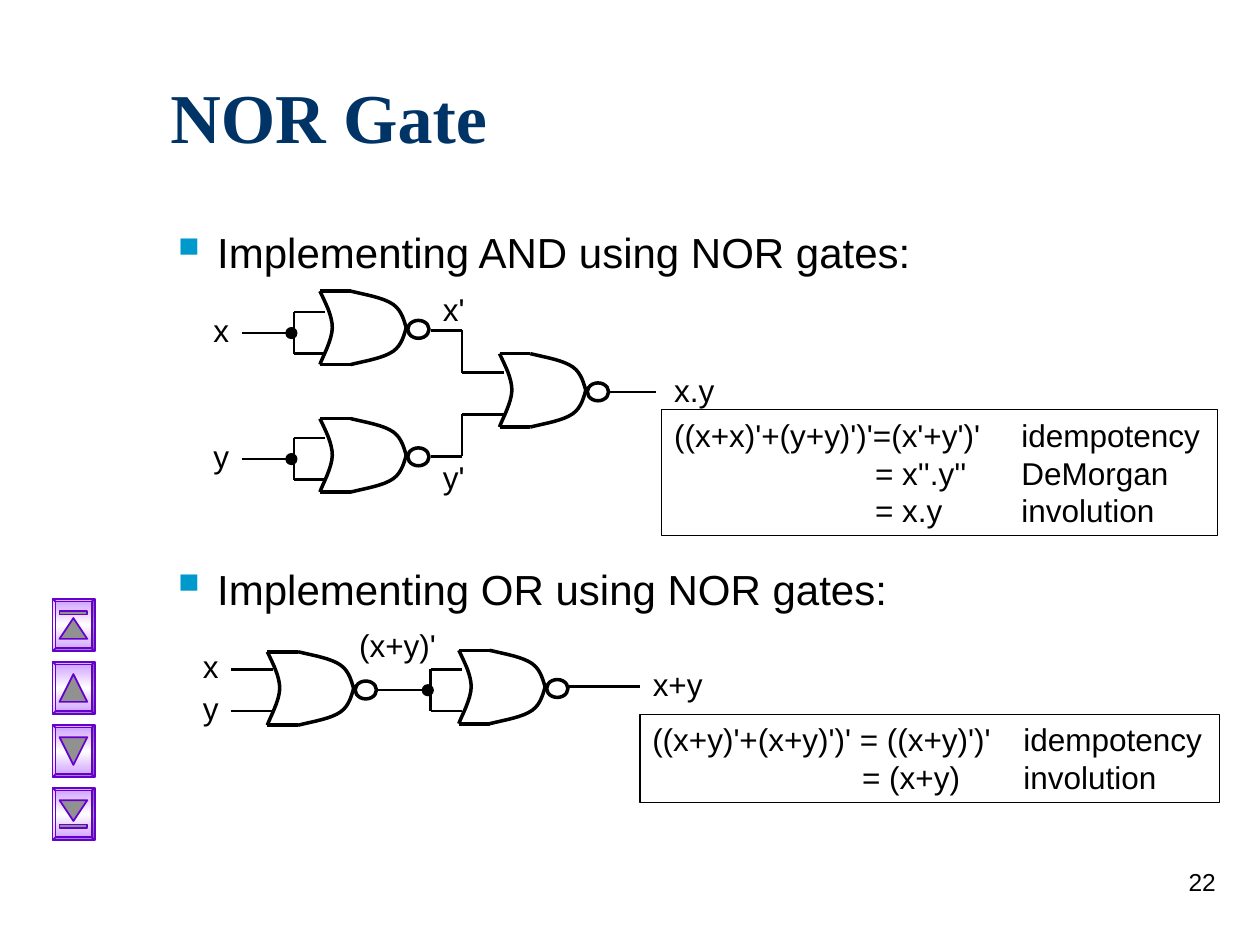
from copy import deepcopy

from lxml.etree import SubElement
from pptx import Presentation
from pptx.dml.color import RGBColor
from pptx.enum.shapes import MSO_CONNECTOR as Link, MSO_SHAPE as Shape
from pptx.enum.text import MSO_ANCHOR as Anchor, PP_ALIGN as Align
from pptx.oxml.ns import qn
from pptx.util import Cm, Pt

BLACK, NAVY, CYAN = "000000", "003366", "0099CC"
PURPLE, LILAC, WHITE, GREY = "6600CC", "CC99FF", "FFFFFF", "919191"
BACK = [(0, 0), (0.12, 0.25), (0.25, 0.5), (0.25, 0.74), (0.25, 0.98), (0.04, 1.36), (0, 1.48)]
NOSE = [(0.62, 0), (0.95, 0.08), (1.28, 0.13), (1.48, 0.27), (1.66, 0.4), (1.7, 0.61), (1.76, 0.81)]
GATE_HEIGHT = 1.48
HALF_TIE = 0.42


def color(value):
    return RGBColor.from_string(value)


def sample(points, steps=8):
    curve = [points[0]]
    for first in range(0, len(points) - 1, 3):
        a, b, c, d = points[first:first + 4]
        for step in range(1, steps + 1):
            t = step / steps
            u = 1 - t
            weights = u**3, 3 * u * u * t, 3 * u * t * t, t**3
            curve.append(tuple(sum(w * p[axis] for w, p in zip(weights, (a, b, c, d)))
                               for axis in (0, 1)))
    return curve


class Painter:
    """Draws styled text, wires, gates and buttons on one slide."""

    def __init__(self, page):
        self.page = page
        self.shapes = page.shapes

    def style(self, paragraph, size, ink=BLACK, font="Arial", bold=False):
        for span in paragraph.runs:
            span.font.name = font
            span.font.size = Pt(size)
            span.font.bold = bold
            span.font.color.rgb = color(ink)

    def title(self, text, left, top, width, height):
        box = self.shapes.title
        box.left, box.top, box.width, box.height = map(Cm, (left, top, width, height))
        box.text_frame.text = text
        box.text_frame.vertical_anchor = Anchor.MIDDLE
        paragraph = box.text_frame.paragraphs[0]
        paragraph.alignment = Align.LEFT
        self.style(paragraph, 40, NAVY, "Times New Roman", True)

    def text(self, text, left, top, width, height=1.02, size=18, align=Align.LEFT):
        box = self.shapes.add_textbox(*map(Cm, (left, top, width, height)))
        box.text_frame.word_wrap = True
        box.text_frame.text = text
        for paragraph in box.text_frame.paragraphs:
            paragraph.alignment = align
            self.style(paragraph, size)
        return box

    def bullet(self, text, top):
        box = self.text(text, 3.18, top, 21.59, 1.57, 24)
        props = box.text_frame.paragraphs[0]._p.get_or_add_pPr()
        props.set("marL", str(Cm(0.95)))
        props.set("indent", str(-Cm(0.95)))
        SubElement(SubElement(props, qn("a:buClr")), qn("a:srgbClr"), val=CYAN)
        SubElement(props, qn("a:buSzPct"), val="120000")
        SubElement(props, qn("a:buChar"), char="▪")

    def proof(self, lines, left, top, width, height, stops):
        box = self.text("\n".join(lines), left, top, width, height)
        box.line.color.rgb = color(BLACK)
        box.line.width = Pt(0.75)
        for paragraph in box.text_frame.paragraphs:
            tabs = SubElement(paragraph._p.get_or_add_pPr(), qn("a:tabLst"))
            for stop in stops:
                SubElement(tabs, qn("a:tab"), pos=str(Cm(stop)), algn="l")

    def wire(self, x1, y1, x2, y2, weight=1.5):
        line = self.shapes.add_connector(Link.STRAIGHT, *map(Cm, (x1, y1, x2, y2)))
        line.line.color.rgb = color(BLACK)
        line.line.width = Pt(weight)
        SubElement(line._element.spPr, qn("a:effectLst"))

    def outline(self, shape, fill=None, ink=BLACK, weight=2):
        shape.shadow.inherit = False
        if fill:
            shape.fill.solid()
            shape.fill.fore_color.rgb = color(fill)
        else:
            shape.fill.background()
        shape.line.color.rgb = color(ink)
        shape.line.width = Pt(weight)

    def preset(self, kind, left, top, width, height, **look):
        shape = self.shapes.add_shape(kind, *map(Cm, (left, top, width, height)))
        self.outline(shape, **look)
        return shape

    def curve(self, points, left, top):
        points = [(Cm(left + x), Cm(top + y)) for x, y in sample(points)]
        builder = self.shapes.build_freeform(*points[0])
        builder.add_line_segments(points[1:], close=False)
        self.outline(builder.convert_to_shape())

    def gate(self, left, top):
        mirrored = [(x, GATE_HEIGHT - y) for x, y in NOSE]
        for points in (BACK, NOSE, mirrored):
            self.curve(points, left, top)
        for y in (top, top + GATE_HEIGHT):
            self.wire(left, y, left + 0.62, y, 2)
        self.preset(Shape.OVAL, left + 1.77, top + 0.59, 0.43, 0.36)

    def tied_inputs(self, start, tie, middle):
        upper, lower = middle - HALF_TIE, middle + HALF_TIE
        self.wire(start, middle, tie, middle)
        self.wire(tie, upper, tie, lower)
        for y in (upper, lower):
            self.wire(tie, y, tie + 0.63, y)
        self.preset(Shape.OVAL, tie - 0.16, middle - 0.1, 0.21, 0.21, fill=BLACK, weight=1)

    def button(self, top, down, bar):
        left = 1.06
        frame = self.preset(Shape.BEVEL, left, top, 0.85, 1.06, ink=PURPLE, weight=1)
        frame.adjustments[0] = 0.07
        frame.fill.gradient()
        frame.fill.gradient_angle = 90
        first, second = frame.fill.gradient_stops
        first.color.rgb, second.color.rgb = color(LILAC), color(WHITE)
        first.position, second.position = 0, 0.5
        stops = frame._element.spPr.find(".//" + qn("a:gsLst"))
        last = deepcopy(stops[0])
        last.set("pos", "100000")
        stops.append(last)
        height = 0.42 if bar else 0.56
        arrow_top = top + (0.25 if down else 0.81 - height)
        look = dict(fill=GREY, ink=PURPLE, weight=1)
        arrow = self.preset(Shape.ISOSCELES_TRIANGLE, left + 0.14, arrow_top, 0.56, height, **look)
        arrow.rotation = 180 if down else 0
        if bar:
            self.preset(Shape.RECTANGLE, left + 0.14, top + (0.74 if down else 0.25),
                        0.56, 0.07, **look)


def main():
    deck = Presentation()
    deck.slide_width, deck.slide_height = Cm(25.4), Cm(19.05)
    painter = Painter(deck.slides.add_slide(deck.slide_layouts[5]))
    painter.title("NOR Gate", 3.18, 1.27, 21.59, 2.11)
    painter.bullet("Implementing AND using NOR gates:", 4.45)
    painter.bullet("Implementing OR using NOR gates:", 11.23)

    painter.proof(["((x+x)'+(y+y)')'=(x'+y')'\tidempotency",
                   "\t= x''.y''\tDeMorgan",
                   "\t= x.y\tinvolution"], 13.34, 8.26, 11.2, 2.54, (4.05, 7))
    painter.proof(["((x+y)'+(x+y)')' = ((x+y)')'\tidempotency",
                   "\t= (x+y)\tinvolution"], 12.9, 14.4, 11.68, 1.78, (4.23, 7.48))

    for middle, join in ((6.71, 7.51), (9.25, 8.35)):
        painter.tied_inputs(4.87, 5.93, middle)
        output = middle - 0.05
        painter.wire(8.68, output, 9.31, output)
        painter.wire(9.31, output, 9.31, join)
        painter.wire(9.31, join, 10.16, join)
    painter.wire(12.27, 7.9, 13.22, 7.9)

    for y in (13.49, 14.33):
        painter.wire(4.66, y, 5.5, y)
    painter.tied_inputs(7.62, 8.68, 13.91)
    painter.wire(11.43, 13.84, 12.91, 13.84)

    for left, top in ((6.45, 5.87), (6.45, 8.44), (10.07, 7.13), (5.39, 13.14), (9.25, 13.11)):
        painter.gate(left, top)

    for name, left, top in (("x", 4.02, 6.15), ("y", 4.02, 8.69),
                            ("x", 3.81, 12.91), ("y", 3.81, 13.76)):
        painter.text(name, left, top, 0.85, align=Align.RIGHT)
    for name, left, top, width in (("x'", 8.68, 5.72, 1.06), ("y'", 8.68, 9.1, 1.06),
                                   ("x.y", 13.34, 7.35, 1.7), ("(x+y)'", 6.99, 12.49, 2.12),
                                   ("x+y", 12.91, 13.28, 1.7)):
        painter.text(name, left, top, width)

    for index, (down, bar) in enumerate(((False, True), (False, False), (True, False), (True, True))):
        painter.button(12.07 + 1.27 * index, down, bar)
    painter.text("22", 19.47, 17.36, 5.29, 1.27, 14, Align.RIGHT)
    deck.save("out.pptx")


if __name__ == "__main__":
    main()
